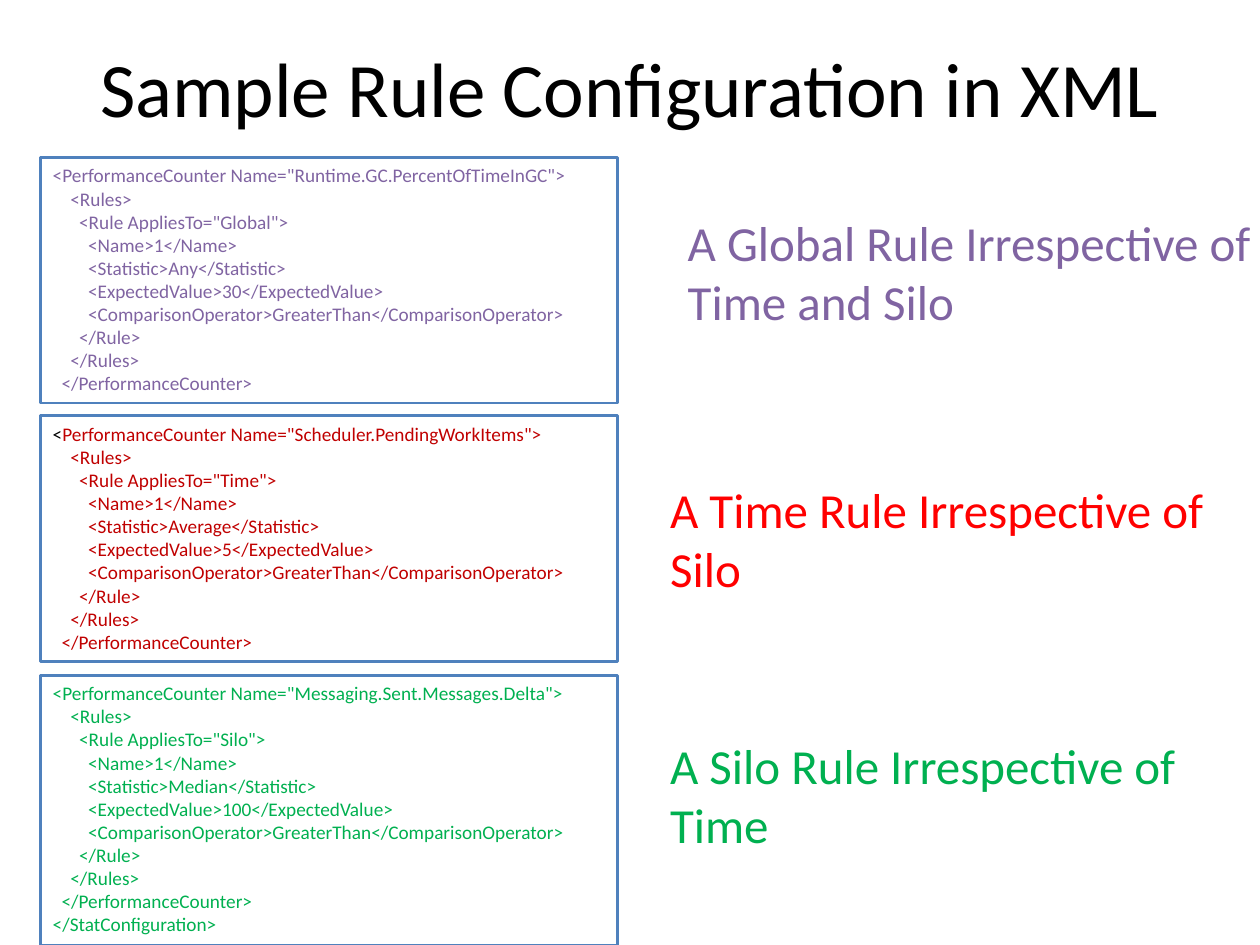
from pptx import Presentation
from pptx.dml.color import RGBColor
from pptx.enum import shapes, text
from pptx.util import Inches, Pt


def add_run(paragraph, wording, size, color):
    run = paragraph.add_run()
    run.text = wording
    run.font.name = "Calibri"
    run.font.size = Pt(size)
    run.font.color.rgb = RGBColor.from_string(color)


def rule_lines(counter, scope, statistic, expected):
    return [
        (0, f'<PerformanceCounter Name="{counter}">'),
        (2, "<Rules>"),
        (3, f'<Rule AppliesTo="{scope}">'),
        (4, "<Name>1</Name>"),
        (4, f"<Statistic>{statistic}</Statistic>"),
        (4, f"<ExpectedValue>{expected}</ExpectedValue>"),
        (4, "<ComparisonOperator>GreaterThan</ComparisonOperator>"),
        (3, "</Rule>"),
        (2, "</Rules>"),
        (1, "</PerformanceCounter>"),
    ]


presentation = Presentation()
presentation.slide_width = Inches(10)
presentation.slide_height = Inches(7.5)
slide = presentation.slides.add_slide(presentation.slide_layouts[5])

title = slide.shapes.title
title.left, title.top = Inches(0.5), Inches(0.12)
title.width, title.height = Inches(9), Inches(1.13)
title.text_frame.vertical_anchor = text.MSO_ANCHOR.MIDDLE
title_paragraph = title.text_frame.paragraphs[0]
title_paragraph.alignment = text.PP_ALIGN.CENTER
add_run(title_paragraph, "Sample Rule Configuration in XML", 44, "000000")

global_rule = rule_lines("Runtime.GC.PercentOfTimeInGC", "Global", "Any", 30)
time_rule = rule_lines("Scheduler.PendingWorkItems", "Time", "Average", 5)
silo_rule = rule_lines("Messaging.Sent.Messages.Delta", "Silo", "Median", 100)
silo_rule.append((0, "</StatConfiguration>"))

code_boxes = [
    (1.25, 1.95, global_rule, "8064A2", "8064A2"),
    (3.3, 1.95, time_rule, "C00000", "000000"),
    (5.36, 2.14, silo_rule, "00B050", "00B050"),
]
for top, height, lines, color, bracket_color in code_boxes:
    box = slide.shapes.add_shape(
        shapes.MSO_SHAPE.RECTANGLE,
        Inches(0.32), Inches(top), Inches(4.58), Inches(height))
    box.shadow.inherit = False
    box.fill.background()
    box.line.color.rgb = RGBColor.from_string("4F81BD")
    box.line.width = Pt(1.5)
    frame = box.text_frame
    frame.word_wrap = True
    frame.auto_size = text.MSO_AUTO_SIZE.SHAPE_TO_FIT_TEXT
    frame.vertical_anchor = text.MSO_ANCHOR.TOP
    for number, (level, line) in enumerate(lines):
        paragraph = frame.add_paragraph() if number else frame.paragraphs[0]
        paragraph.alignment = text.PP_ALIGN.LEFT
        properties = paragraph._p.get_or_add_pPr()
        properties.set("marL", str(Inches(0.07 * level)))
        properties.set("indent", "0")
        if number == 0 and bracket_color != color:
            add_run(paragraph, line[0], 11, bracket_color)
            line = line[1:]
        add_run(paragraph, line, 11, color)

captions = [
    (5.36, 1.64, "A Global Rule Irrespective of Time and Silo", "8064A2"),
    (5.22, 3.76, "A Time Rule Irrespective of Silo", "FF0000"),
    (5.22, 5.79, "A Silo Rule Irrespective of Time", "00B050"),
]
for left, top, wording, color in captions:
    caption = slide.shapes.add_textbox(
        Inches(left), Inches(top), Inches(4.91), Inches(1.04))
    caption.text_frame.word_wrap = True
    caption.text_frame.auto_size = text.MSO_AUTO_SIZE.SHAPE_TO_FIT_TEXT
    add_run(caption.text_frame.paragraphs[0], wording, 28, color)

presentation.save("out.pptx")
